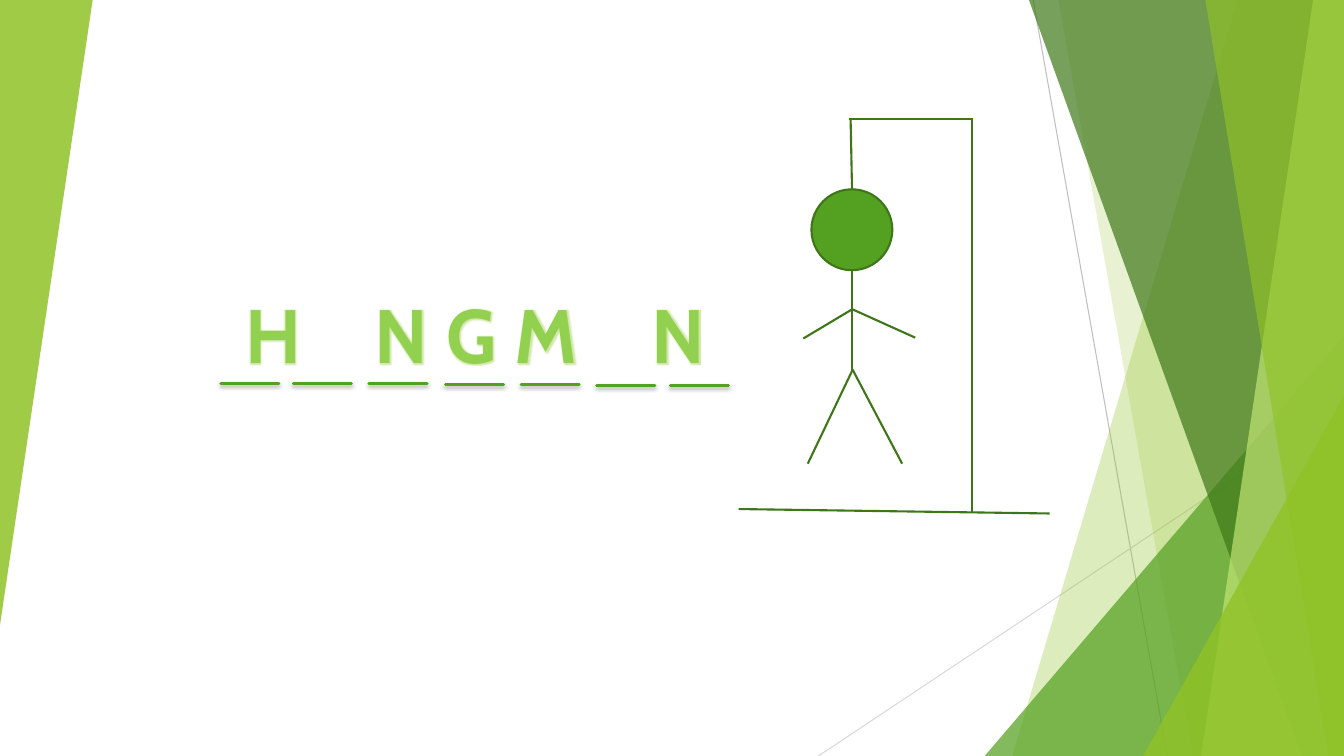
from dataclasses import dataclass

from lxml.etree import SubElement
from pptx import Presentation
from pptx.dml.color import RGBColor
from pptx.enum.shapes import MSO_CONNECTOR, MSO_SHAPE
from pptx.enum.text import MSO_ANCHOR, MSO_AUTO_SIZE, PP_ALIGN
from pptx.oxml import parse_xml
from pptx.oxml.ns import nsdecls, qn
from pptx.util import Pt

LIME = RGBColor(0x90, 0xC2, 0x26)
PALE_LIME = RGBColor(0xC0, 0xE4, 0x74)
GREEN = RGBColor(0x54, 0xA0, 0x21)
FOREST = RGBColor(0x3F, 0x78, 0x19)
INK = RGBColor(0x3E, 0x76, 0x18)
LETTER = RGBColor(0x92, 0xD0, 0x50)
GREY = RGBColor(0xBF, 0xBF, 0xBF)
LIGHT_GREY = RGBColor(0xD9, 0xD9, 0xD9)
WIDTH, HEIGHT = 960, 540


@dataclass
class Stroke:
    x1: float
    y1: float
    x2: float
    y2: float
    color: RGBColor = INK
    weight: float = 1.5


@dataclass
class Band:
    """Facet from a slanted left edge to the right edge of the slide."""
    top_x: float
    bottom_x: float
    color: RGBColor
    opacity: int


@dataclass
class Corner:
    """Right-angled triangle facet."""
    left: float
    top: float
    width: float
    height: float
    color: RGBColor
    opacity: int
    rotation: int = 0


@dataclass
class Letters:
    text: str
    spacing: float = 0.5


BACK_LINES = [
    Stroke(738, 0, 833.8, HEIGHT, GREY, 0.75),
    Stroke(WIDTH, 290.2, 584.6, HEIGHT, LIGHT_GREY, 0.75),
]
FACETS = [
    Band(884.2, 722.9, LIME, 30),
    Band(756, 851.8, LIME, 20),
    Corner(703.4, 239.8, 256.6, 300.2, GREEN, 72),
    Band(735.1, 929.5, FOREST, 70),
    Band(938.2, 858.2, PALE_LIME, 70),
    Band(861.1, 949, LIME, 65),
    Corner(816.5, 283, 143.5, 257, LIME, 80),
    Corner(0, 0, 66.2, 446.4, LIME, 85, rotation=180),
]
FIGURE = [
    Stroke(608.6, 193, 608.6, 264.2),    # body
    Stroke(609, 264.2, 577, 331.2),      # legs
    Stroke(609, 264, 644.4, 331.2),
    Stroke(608.6, 221, 573.8, 241.8),    # arms
    Stroke(609, 221, 653.8, 241.2),
    Stroke(607.6, 85, 608.6, 135.2),     # rope
]
GALLOWS = [
    Stroke(694.8, 85, 606.2, 85),
    Stroke(694.5, 366.8, 694.5, 85),
    Stroke(749.8, 366.8, 527.6, 363.6),
]
BLANK_STARTS = [157.7, 209.5, 263.5, 318.2, 372.2, 426.2, 478.8]
BLANK_YS = [273.9 + 0.7 * max(0, (i - 1) // 2)
            for i in range(len(BLANK_STARTS))]
BLANKS = [Stroke(x, y, x + 41.6, y, GREEN, 2)
          for x, y in zip(BLANK_STARTS, BLANK_YS)]
MISSING = Letters(" ", 40)    # widely spaced gap for an unguessed letter
WORD = [Letters("H"), MISSING, Letters("N G M"), MISSING, Letters("N")]


def add_stroke(s, st: Stroke, shadow: bool = False) -> None:
    c = s.shapes.add_connector(MSO_CONNECTOR.STRAIGHT, Pt(st.x1), Pt(st.y1),
                               Pt(st.x2), Pt(st.y2))
    c.line.color.rgb = st.color
    c.line.width = Pt(st.weight)
    effects = SubElement(c._element.spPr, qn("a:effectLst"))
    if shadow:
        c._element.spPr.find(qn("a:ln")).set("cap", "rnd")
        effects.append(parse_xml(
            f'<a:outerShdw {nsdecls("a")} blurRad="{Pt(3)}" dist="{Pt(2)}" '
            'dir="5400000" rotWithShape="0"><a:srgbClr val="000000">'
            '<a:alpha val="35000"/></a:srgbClr></a:outerShdw>'))


def add_facet(s, facet: Band | Corner) -> None:
    if isinstance(facet, Band):
        fb = s.shapes.build_freeform(facet.top_x, 0, scale=Pt(1))
        fb.add_line_segments([(WIDTH, 0), (WIDTH, HEIGHT),
                              (facet.bottom_x, HEIGHT)])
        shape = fb.convert_to_shape()
    else:
        shape = s.shapes.add_shape(
            MSO_SHAPE.ISOSCELES_TRIANGLE, Pt(facet.left), Pt(facet.top),
            Pt(facet.width), Pt(facet.height))
        shape.adjustments[0] = 1.0
        shape.rotation = facet.rotation
    shape.shadow.inherit = False
    shape.fill.solid()
    shape.fill.fore_color.rgb = facet.color
    shape.line.fill.background()
    color = shape._element.spPr.find(qn("a:solidFill"))[0]
    SubElement(color, qn("a:alpha"), val=str(facet.opacity * 1000))


def add_head(s) -> None:
    head = s.shapes.add_shape(MSO_SHAPE.OVAL, Pt(579.6), Pt(135.2),
                              Pt(57.8), Pt(57.8))
    head.shadow.inherit = False
    head.fill.solid()
    head.fill.fore_color.rgb = GREEN
    head.line.color.rgb = INK
    head.line.width = Pt(1.5)


def add_letters(p, letters: Letters) -> None:
    r = p.add_run()
    r.text = letters.text
    for name, value in {"name": "Cabin", "size": Pt(54), "bold": True}.items():
        setattr(r.font, name, value)
    r.font.color.rgb = LETTER

    # Letter spacing, outline and soft glow
    props = r._r.get_or_add_rPr()
    props.set("spc", str(round(letters.spacing * 100)))
    props.insert(0, parse_xml(
        f'<a:ln {nsdecls("a")} w="{Pt(0.75)}"><a:solidFill>'
        f'<a:srgbClr val="{LIME}"/></a:solidFill></a:ln>'))
    props.find(qn("a:solidFill")).addnext(parse_xml(
        f'<a:effectLst {nsdecls("a")}><a:glow rad="{Pt(2)}">'
        f'<a:srgbClr val="{LIME}"><a:alpha val="40000"/></a:srgbClr>'
        '</a:glow></a:effectLst>'))


def set_title(s) -> None:
    title = s.shapes.title
    box = {"left": Pt(152.6), "top": Pt(202),
           "width": Pt(373.7), "height": Pt(72.7)}
    for name, value in box.items():
        setattr(title, name, value)
    tf = title.text_frame
    frame = {"word_wrap": False, "auto_size": MSO_AUTO_SIZE.NONE,
             "vertical_anchor": MSO_ANCHOR.TOP,
             "margin_left": Pt(7.2), "margin_right": Pt(7.2),
             "margin_top": Pt(3.6), "margin_bottom": Pt(3.6)}
    for name, value in frame.items():
        setattr(tf, name, value)
    p = tf.paragraphs[0]
    p.alignment = PP_ALIGN.CENTER
    p.line_spacing = 1.0
    for letters in WORD:
        add_letters(p, letters)


def main() -> None:
    prs = Presentation()
    prs.slide_width, prs.slide_height = Pt(WIDTH), Pt(HEIGHT)
    s = prs.slides.add_slide(prs.slide_layouts[5])

    # Background
    for st in BACK_LINES:
        add_stroke(s, st)
    for facet in FACETS:
        add_facet(s, facet)

    # Hanged man
    add_head(s)
    for st in FIGURE + GALLOWS:
        add_stroke(s, st)

    # Word to guess
    set_title(s)
    for st in BLANKS:
        add_stroke(s, st, shadow=True)

    prs.save("out.pptx")


if __name__ == "__main__":
    main()
